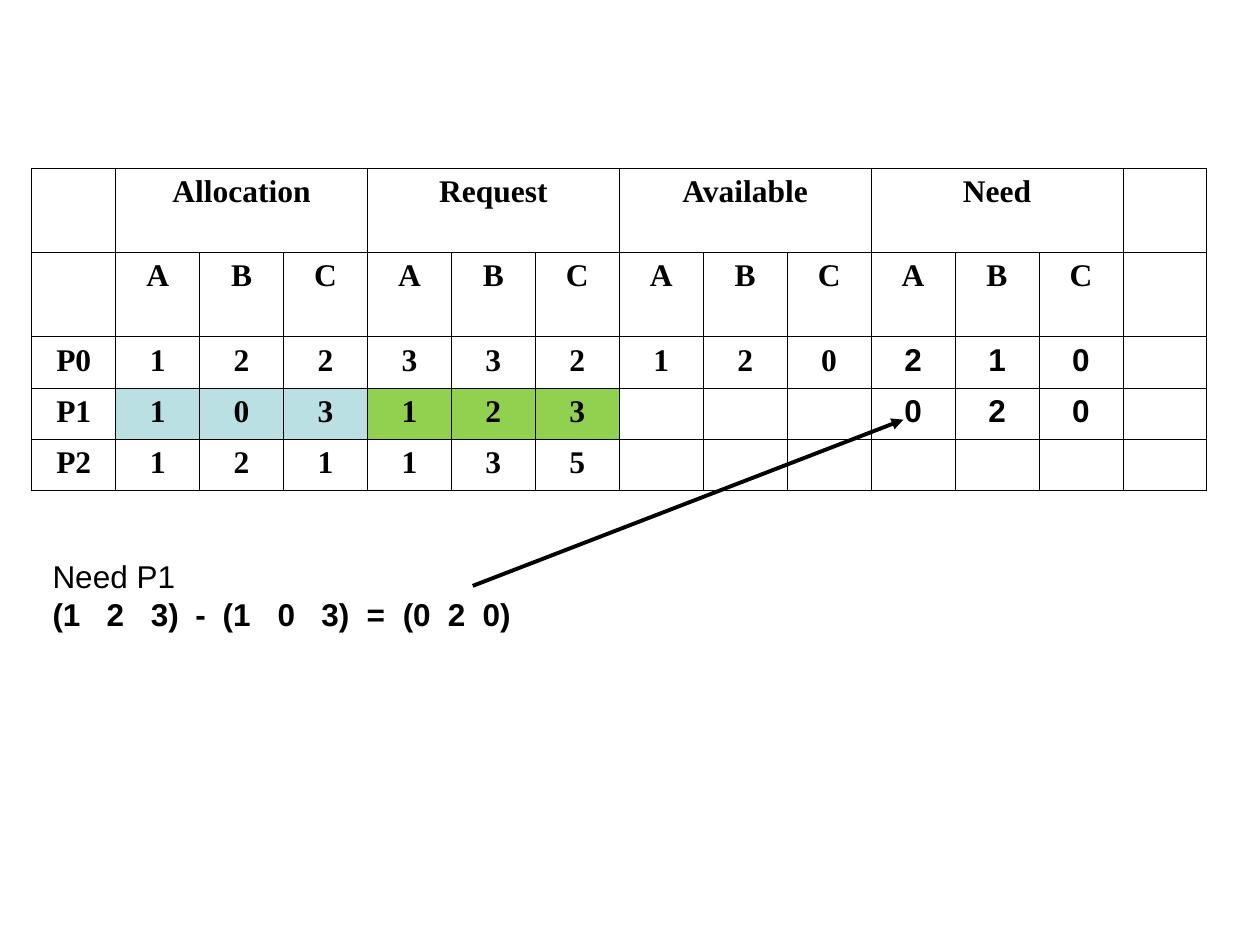
from pptx import Presentation
from pptx.dml.color import RGBColor
from pptx.enum.shapes import MSO_CONNECTOR
from pptx.enum.text import PP_ALIGN
from pptx.oxml import parse_xml
from pptx.oxml.ns import nsdecls
from pptx.util import Cm, Pt


def color(value):
    return RGBColor.from_string(value)


def element(tag, attributes="", content=""):
    return parse_xml(f'<a:{tag} {nsdecls("a")} {attributes}>{content}</a:{tag}>')


class SlideBuilder:
    ink = "000000"
    serif = "Times New Roman"
    sans = "Arial"
    size = Pt(18)

    def __init__(self, prs):
        self.s = prs.slides.add_slide(prs.slide_layouts[6])

    def style(self, p, font, bold):
        for r in p.runs:
            r.font.name = font
            r.font.size = self.size
            r.font.bold = bold
            r.font.color.rgb = color(self.ink)

    def cell(self, cell, text, font, fill):
        tc_pr = cell._tc.get_or_add_tcPr()
        for side in ("lnL", "lnR", "lnT", "lnB"):
            tc_pr.append(element(
                side, 'w="5715"',
                f'<a:solidFill><a:srgbClr val="{self.ink}"/></a:solidFill>'))
        if fill:
            cell.fill.solid()
            cell.fill.fore_color.rgb = color(fill)
        else:
            cell.fill.background()
        if text:
            cell.text_frame.text = text
            p = cell.text_frame.paragraphs[0]
            p.alignment = PP_ALIGN.CENTER
            self.style(p, font, True)

    def table(self, rows, heights, left, top, width, spans, sans_cells, fills):
        table = self.s.shapes.add_table(
            len(rows), len(rows[0]), left, top, width, sum(heights)).table
        table.first_row = False
        table.horz_banding = False
        for start, end in spans:
            table.cell(0, start).merge(table.cell(0, end))
        for i, (row, height) in enumerate(zip(rows, heights)):
            table.rows[i].height = height
            for j, text in enumerate(row):
                font = self.sans if (i, j) in sans_cells else self.serif
                self.cell(table.cell(i, j), text, font, fills.get((i, j)))

    def text(self, lines, left, top, width, height, tabs):
        tf = self.s.shapes.add_textbox(left, top, width, height).text_frame
        tf.word_wrap = True
        tf.text = "\n".join(line for line, bold in lines)
        for p, (line, bold) in zip(tf.paragraphs, lines):
            if "\t" in line:
                stops = "".join(f'<a:tab pos="{Cm(x)}" algn="l"/>' for x in tabs)
                p._p.get_or_add_pPr().append(element("tabLst", content=stops))
            self.style(p, self.sans, bold)

    def arrow(self, x1, y1, x2, y2):
        line = self.s.shapes.add_connector(MSO_CONNECTOR.STRAIGHT, x1, y1, x2, y2)
        line.line.color.rgb = color(self.ink)
        line.line.width = Pt(2.25)
        line.line._get_or_add_ln().append(element("tailEnd", 'type="triangle"'))
        line._element.spPr.append(element("effectLst"))


def main():
    prs = Presentation()
    prs.slide_width, prs.slide_height = Cm(25.4), Cm(19.05)
    slide = SlideBuilder(prs)

    groups = ["Allocation", "Request", "Available", "Need"]
    header = [""] + [text for group in groups for text in (group, "", "")] + [""]
    rows = [
        header,
        ["", *"ABC" * len(groups), ""],
        ["P0", *"122", *"332", *"120", *"210", ""],
        ["P1", *"103", *"123", "", "", "", *"020", ""],
        ["P2", *"121", *"135", *[""] * 7],
    ]
    allocation, request, available, need = [range(c, c + 3) for c in (1, 4, 7, 10)]
    slide.table(
        rows, [Cm(1.7)] * 2 + [Cm(1.02)] * 3,
        Cm(0.64), Cm(3.39), Cm(23.7),
        spans=[(g[0], g[-1]) for g in (allocation, request, available, need)],
        sans_cells={(i, j) for i in (2, 3) for j in need},
        fills={**{(3, j): "BBE0E3" for j in allocation},
               **{(3, j): "92D050" for j in request}})

    slide.text(
        [("Need P1", False),
         ("(1\t2\t3)\t-\t(1\t0\t3)\t=\t(0\t2\t0)", True)],
        Cm(0.81), Cm(11.1), Cm(9.9), Cm(1.78),
        tabs=[1.09, 1.98, 2.88, 3.43, 4.54, 5.42, 6.33, 7.06, 7.97, 8.67])
    slide.arrow(Cm(9.53), Cm(11.81), Cm(18.21), Cm(8.46))

    prs.save("out.pptx")


if __name__ == "__main__":
    main()
